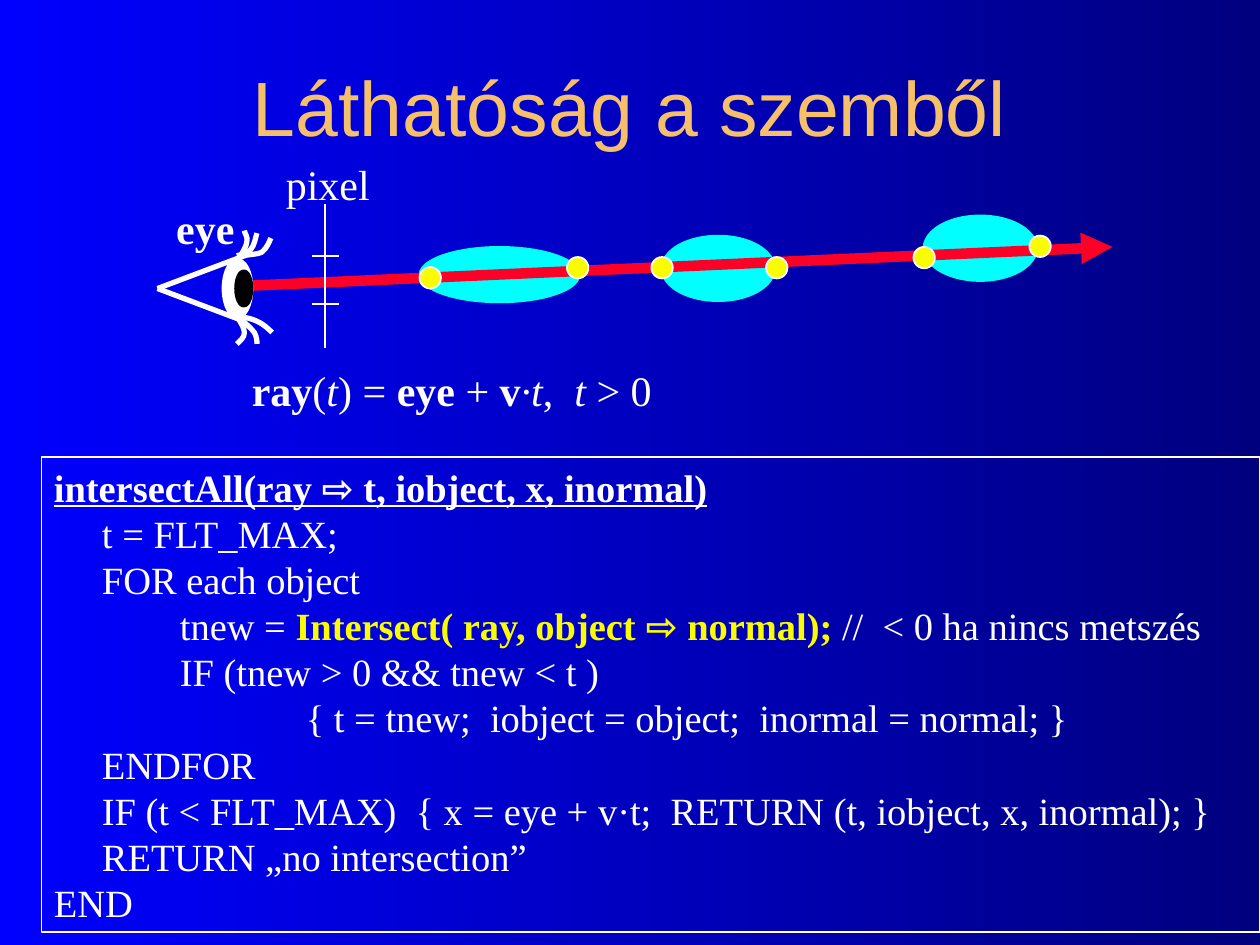
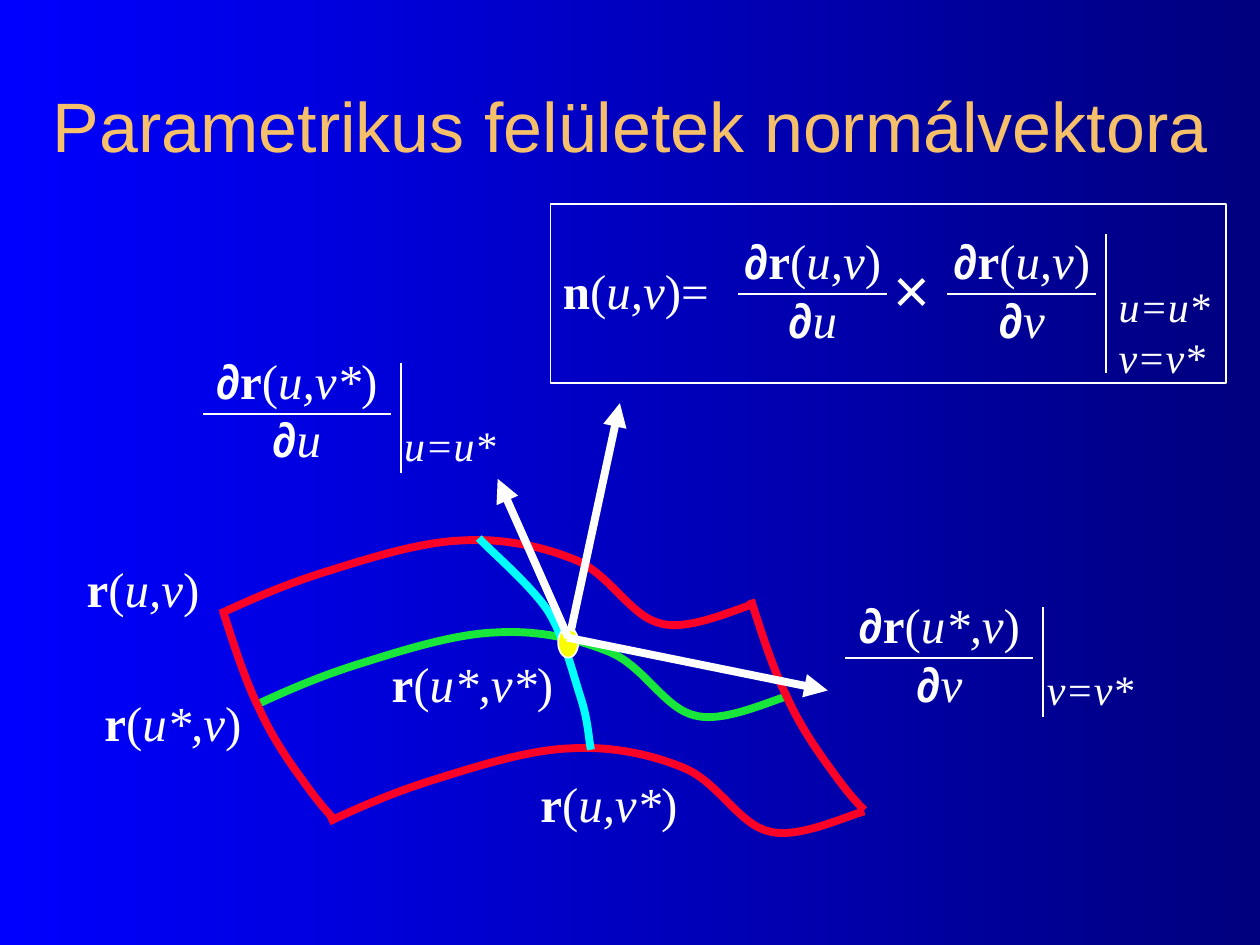
import pptx
import pptx.dml.color
import pptx.enum.shapes
import pptx.enum.text
import pptx.oxml.ns
import pptx.util
from lxml import etree

Inches = pptx.util.Inches
Pt = pptx.util.Pt
RGBColor = pptx.dml.color.RGBColor
qn = pptx.oxml.ns.qn
ALIGN = pptx.enum.text.PP_ALIGN

WHITE = RGBColor(0xFF, 0xFF, 0xFF)
BLACK = RGBColor(0, 0, 0)
BLUE = RGBColor(0, 0, 0xFF)
NAVY = RGBColor(0, 0, 0x7F)
GOLD = RGBColor(0xF6, 0xBF, 0x69)
YELLOW = RGBColor(0xFA, 0xFD, 0x00)
CYAN = RGBColor(0, 0xFF, 0xFF)
RED = RGBColor(0xFC, 0x01, 0x28)
GREEN = RGBColor(0x18, 0xE6, 0x3A)
SERIF = "Times New Roman"
SANS = "Arial"

LASHES = [
    [(1.88, 2.03), (1.92, 2.02), (1.96, 2.01), (1.99, 1.98), (2.02, 1.95), (2.03, 1.88), (2.04, 1.85)],
    [(1.94, 2.03), (1.96, 2.02), (2.05, 2.02), (2.08, 2), (2.12, 1.97), (2.14, 1.91), (2.15, 1.89)],
    [(1.88, 2.51), (1.95, 2.52), (2, 2.53), (2.04, 2.55), (2.09, 2.57), (2.14, 2.62), (2.16, 2.64)],
    [(1.88, 2.51), (1.91, 2.53), (1.99, 2.6), (2.02, 2.64), (2.04, 2.68), (2.04, 2.71), (2.04, 2.73)],
    [(1.88, 2.51), (1.91, 2.56), (1.94, 2.6), (1.94, 2.64), (1.94, 2.68), (1.91, 2.7), (1.88, 2.73)],
    [(1.91, 2.03), (1.92, 2.01), (1.96, 1.95), (1.96, 1.92), (1.97, 1.88), (1.94, 1.85), (1.94, 1.83)],
]
WAVE = [(0, 0), (0.26, -0.12), (0.51, -0.23), (0.83, -0.33), (1.15, -0.43), (1.58, -0.57),
        (1.92, -0.58), (2.25, -0.6), (2.57, -0.53), (2.83, -0.42), (3.1, -0.3), (3.26, 0.03),
        (3.5, 0.08), (3.73, 0.14), (4.12, -0.05), (4.25, -0.08)]
SIDE = [(0, 0), (0.09, 0.28), (0.18, 0.56), (0.29, 0.78), (0.39, 1), (0.52, 1.19),
        (0.63, 1.34), (0.73, 1.48), (0.81, 1.58), (0.9, 1.67)]
CROSS_CURVE = [(3.8, 4.27), (3.89, 4.37), (4.21, 4.64), (4.35, 4.85), (4.48, 5.06),
               (4.55, 5.36), (4.61, 5.54), (4.67, 5.73), (4.67, 5.86), (4.69, 5.95)]

CODE = [
    [("intersectAll(ray ", "bu"), ("⇨", "bua"), (" t, iobject, x, inormal)", "bu")],
    [("     t = FLT_MAX;", "")],
    [("     FOR each object", "")],
    [("\ttnew = ", ""), ("Intersect( ray, object ", "by"), ("⇨", "bya"),
     (" normal); ", "by"), ("//  < 0 ha nincs metszés", "")],
    [("\tIF (tnew > 0 && tnew < t )", "")],
    [("\t\t{ t = tnew;  iobject = object;  inormal = normal; }", "")],
    [("     ENDFOR", "")],
    [("     IF (t < FLT_MAX)  { x = eye + v·t;  RETURN (t, iobject, x, inormal); }", "")],
    [("     RETURN „no intersection”", "")],
    [("END", "")],
]


def add_page(deck):
    page = deck.slides.add_slide(deck.slide_layouts[6])
    fill = page.background.fill
    fill.gradient()
    fill.gradient_angle = 0
    for stop, color in zip(fill.gradient_stops, (BLUE, NAVY)):
        stop.color.rgb = color
    return page


def add_span(para, text, style):
    span = para.add_run()
    span.text = text
    if "b" in style:
        span.font.bold = True
    if "i" in style:
        span.font.italic = True
    if "u" in style:
        span.font.underline = True
    if "a" in style:
        span.font.name = SANS
    if "y" in style:
        span.font.color.rgb = YELLOW


def add_text(page, at, paragraphs, size=28, color=WHITE, font=SERIF, align=ALIGN.LEFT, wrap=False, tabs=()):
    box = page.shapes.add_textbox(*map(Inches, at))
    frame = box.text_frame
    frame.word_wrap = wrap
    frame.auto_size = pptx.enum.text.MSO_AUTO_SIZE.SHAPE_TO_FIT_TEXT
    for index, spans in enumerate(paragraphs):
        para = frame.paragraphs[0] if index == 0 else frame.add_paragraph()
        para.alignment = align
        if tabs:
            stops = etree.SubElement(para._p.get_or_add_pPr(), qn("a:tabLst"))
            for tab in tabs:
                etree.SubElement(stops, qn("a:tab"), pos=str(Inches(tab)), algn="l")
        para.font.name = font
        para.font.size = Pt(size)
        para.font.color.rgb = color
        for text, style in spans:
            add_span(para, text, style)
    return box


def add_title(page, at, text, size):
    box = add_text(page, at, [[(text, "")]], size, GOLD, SANS, ALIGN.CENTER, wrap=True)
    box.text_frame.auto_size = pptx.enum.text.MSO_AUTO_SIZE.NONE
    box.text_frame.vertical_anchor = pptx.enum.text.MSO_ANCHOR.MIDDLE


def set_line(shape, color, width):
    shape.line.color.rgb = color
    shape.line.width = Pt(width)


def add_ellipse(page, at, fill, line, width=1):
    oval = page.shapes.add_shape(pptx.enum.shapes.MSO_SHAPE.OVAL, *map(Inches, at))
    oval.shadow.inherit = False
    oval.fill.solid()
    oval.fill.fore_color.rgb = fill
    set_line(oval, line, width)


def add_line(page, start, end, color=WHITE, width=1, arrow=False):
    line = page.shapes.add_connector(
        pptx.enum.shapes.MSO_CONNECTOR.STRAIGHT, *map(Inches, (*start, *end)))
    set_line(line, color, width)
    properties = line.element.spPr
    if arrow:
        etree.SubElement(properties.find(qn("a:ln")), qn("a:tailEnd"), type="triangle")
    etree.SubElement(properties, qn("a:effectLst"))


def add_curve(page, points, color, width, origin=(0, 0)):
    start, *controls = [(Inches(origin[0] + x), Inches(origin[1] + y)) for x, y in points]
    builder = page.shapes.build_freeform(*start)
    builder.add_line_segments(controls, close=False)
    curve = builder.convert_to_shape()
    curve.shadow.inherit = False
    curve.fill.background()
    set_line(curve, color, width)
    outline = next(curve.element.iter(qn("a:path")))
    segments = outline.findall(qn("a:lnTo"))
    for first in range(0, len(segments), 3):
        cubic = etree.SubElement(outline, qn("a:cubicBezTo"))
        for segment in segments[first:first + 3]:
            cubic.append(segment[0])
            outline.remove(segment)


def function_spans(name, arguments, ending=")"):
    return [(name, "b"), ("(", ""), (arguments, "i"), (ending, "")]


def add_fraction(page, left, top, width, arguments, variable, inset=0):
    add_text(page, (left, top, width, 1.04),
             [[("∂", "ba")] + function_spans("r", arguments), [("∂", "ba"), (variable, "i")]],
             align=ALIGN.CENTER)
    bar = top + 0.555
    add_line(page, (left + inset, bar), (left + width - inset, bar))


def add_condition(page, left, top, conditions):
    add_text(page, (left, top, 0.96, 0.1 + 0.4 * len(conditions)),
             [[(condition, "i")] for condition in conditions], 24)


def add_partial_derivative(page, left, top, arguments, variable, condition):
    add_fraction(page, left, top, 1.49, arguments, variable)
    add_line(page, (left + 1.57, top + 0.15), (left + 1.57, top + 1.02))
    add_condition(page, left + 1.5, top + 0.55, [condition])


def add_eye(page):
    for lid_end in (2.03, 2.55):
        add_line(page, (1.25, 2.29), (1.94, lid_end), width=3)
    add_ellipse(page, (1.78, 2.07, 0.21, 0.44), WHITE, WHITE, 3)
    add_ellipse(page, (1.88, 2.16, 0.11, 0.26), BLACK, BLACK, 3)
    for lash in LASHES:
        add_curve(page, lash, WHITE, 3)


def build_visibility(page):
    add_title(page, (0.75, 0.21, 8.5, 1.25), "Láthatóság a szemből", 44)
    for scene_object in ((7.33, 1.71, 0.9, 0.52), (5.25, 1.87, 0.9, 0.52), (3.33, 1.96, 1.27, 0.44)):
        add_ellipse(page, scene_object, CYAN, CYAN)
    add_line(page, (1.93, 2.27), (8.83, 1.96), RED, 6, arrow=True)
    add_line(page, (2.58, 1.62), (2.58, 2.76))
    for pixel_edge in (2.03, 2.41):
        add_line(page, (2.48, pixel_edge), (2.69, pixel_edge))
    add_text(page, (2.17, 1.21, 0.9, 0.5), [[("pixel", "")]], 24)
    add_eye(page)
    for x, y in ((3.33, 2.12), (4.5, 2.04), (5.17, 2.04), (6.08, 2.04), (7.25, 1.96), (8.17, 1.87)):
        add_ellipse(page, (x, y, 0.17, 0.17), YELLOW, WHITE)
    ray = [("ray", "b"), ("(", ""), ("t", "i"), (") = ", ""), ("eye", "b"), (" + ", ""),
           ("v", "b"), ("·t", "i"), (",  ", ""), ("t", "i"), (" > 0", "")]
    add_text(page, (1.9, 2.84, 3.42, 0.5), [ray], 24)
    code_box = add_text(page, (0.33, 3.63, 9.67, 3.77), CODE, 22, wrap=True, tabs=(1, 2))
    set_line(code_box, WHITE, 1)
    add_text(page, (1.3, 1.56, 0.7, 0.5), [[("eye", "b")]], 24)


def build_normal_vector(page):
    add_title(page, (0, 0.36, 10, 1.25), "Parametrikus felületek normálvektora", 40)
    for origin, color in (((2.02, 5.6), GREEN), ((1.75, 4.87), RED), ((2.61, 6.52), RED)):
        add_curve(page, WAVE, color, 4.5, origin)
    for origin in ((5.96, 4.76), (1.77, 4.85)):
        add_curve(page, SIDE, RED, 4.5, origin)
    add_curve(page, CROSS_CURVE, CYAN, 4.5)
    add_ellipse(page, (4.43, 4.98, 0.16, 0.24), YELLOW, WHITE)
    for left, top, width, arguments in ((0.59, 4.38, 1.13, "u,v"), (0.73, 5.45, 1.33, "u*,v"),
                                        (4.19, 6.09, 1.33, "u,v*"), (3.01, 5.14, 1.52, "u*,v*")):
        add_text(page, (left, top, width, 0.57), [function_spans("r", arguments)])
    for start, end in (((4.5, 5.06), (6.57, 5.48)), ((4.51, 5.06), (3.95, 3.8)), ((4.53, 5.01), (4.92, 3.2))):
        add_line(page, start, end, width=4.5, arrow=True)
    add_partial_derivative(page, 6.71, 4.67, "u*,v", "v", "v=v*")
    add_partial_derivative(page, 1.61, 2.73, "u,v*", "u", "u=u*")

    add_text(page, (4.37, 2.02, 1.4, 0.57), [function_spans("n", "u,v", ")=")])
    for left, variable in ((5.8, "u"), (7.46, "v")):
        add_fraction(page, left, 1.78, 1.3, "u,v", variable, inset=0.06)
    add_text(page, (6.99, 1.94, 0.6, 0.7), [[("×", "")]], 36, font=SANS)
    add_line(page, (8.78, 1.86), (8.78, 2.96))
    add_condition(page, 8.78, 2.18, ["u=u*", "v=v*"])
    frame = page.shapes.add_shape(
        pptx.enum.shapes.MSO_SHAPE.RECTANGLE, *map(Inches, (4.37, 1.62, 5.36, 1.42)))
    frame.shadow.inherit = False
    frame.fill.background()
    set_line(frame, WHITE, 1)


def main():
    deck = pptx.Presentation()
    deck.slide_width = Inches(10)
    deck.slide_height = Inches(7.5)
    build_visibility(add_page(deck))
    build_normal_vector(add_page(deck))
    deck.save("out.pptx")


if __name__ == "__main__":
    main()
